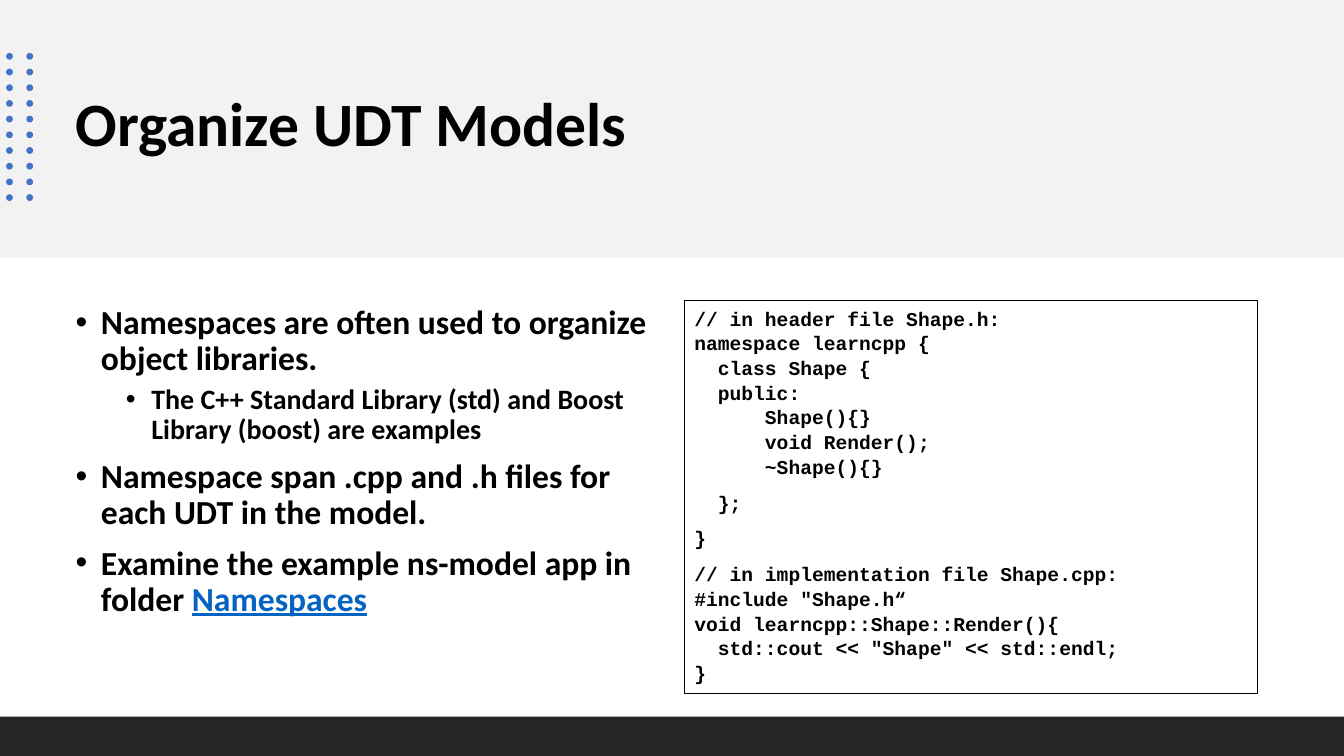
from copy import deepcopy

from pptx import Presentation
from pptx.dml.color import RGBColor
from pptx.enum import shapes, text
from pptx.oxml.ns import qn
from pptx.util import Cm, Pt

# Content
TITLE = "Organize UDT Models"
BULLETS = [  # (level, text, linked text)
    (0, "Namespaces are often used to organize object libraries.", ""),
    (1, "The C++ Standard Library (std) and Boost Library (boost) are examples", ""),
    (0, "Namespace span .cpp and .h files for each UDT in the model.", ""),
    (0, "Examine the example ns-model app in folder ", "Namespaces"),
]
CODE = [
    """// in header file Shape.h:
namespace learncpp {
  class Shape {
  public:
      Shape(){}
      void Render();
      ~Shape(){}""",
    "  };",
    "}",
    """// in implementation file Shape.cpp:
#include "Shape.h“
void learncpp::Shape::Render(){
  std::cout << "Shape" << std::endl;
}""",
]

# Style
COLORS = {"band": "F2F2F2", "footer": "262626", "dot": "4472C4",
          "ink": "000000", "link": "0563C1"}
LEVELS = [  # text size, space before, left margin
    (Pt(24), Pt(10), Cm(0.64)),
    (Pt(20), Pt(5), Cm(1.91)),
]
HANG = Cm(0.64)
WIDTH, HEIGHT = Cm(33.87), Cm(19.05)
BAND_HEIGHT, FOOTER_HEIGHT = Cm(6.5), Cm(0.99)
DOT_COLUMNS, DOT_ROWS = (Cm(0.24), Cm(0.75)), 10
DOT_FIRST, DOT_LAST, DOT_SIZE = Cm(1.42), Cm(4.98), Cm(0.17)


def color(name):
    return RGBColor.from_string(COLORS[name])


def add_plain(page, kind, left, top, width, height, fill=None):
    shape = page.shapes.add_shape(kind, left, top, width, height)
    shape.shadow.inherit = False
    shape.line.fill.background()
    if fill:
        shape.fill.solid()
        shape.fill.fore_color.rgb = color(fill)
    else:
        shape.fill.background()
    return shape


def place(box, left, top, width, height):
    box.left, box.top, box.width, box.height = left, top, width, height


def style(span, size, font="Calibri", ink="ink"):
    span.font.name, span.font.size, span.font.bold = font, size, True
    span.font.color.rgb = color(ink)


def set_bullet(para, margin):
    props = para._p.get_or_add_pPr()
    props.set("marL", str(margin))
    props.set("indent", str(-HANG))
    font = props.makeelement(qn("a:buFont"), {"typeface": "Arial"})
    props.extend([font, props.makeelement(qn("a:buChar"), {"char": "•"})])


def add_title(page):
    box = page.shapes.title
    place(box, Cm(1.65), Cm(0.94), Cm(30.56), Cm(4.5))
    frame = box.text_frame
    frame.text = TITLE
    frame.auto_size = text.MSO_AUTO_SIZE.NONE
    frame.vertical_anchor = text.MSO_ANCHOR.MIDDLE
    para = frame.paragraphs[0]
    para.alignment, para.line_spacing = text.PP_ALIGN.LEFT, 0.9
    style(para.runs[0], Pt(44))


def add_bullets(page):
    box = page.placeholders[1]
    place(box, Cm(1.65), Cm(7.57), Cm(15.27), Cm(9.7))
    frame = box.text_frame
    frame.text = "\n".join(words for _, words, _ in BULLETS)
    frame.auto_size = text.MSO_AUTO_SIZE.NONE
    for para, (level, _, link) in zip(frame.paragraphs, BULLETS):
        size, before, margin = LEVELS[level]
        para.level, para.line_spacing, para.space_before = level, 0.9, before
        set_bullet(para, margin)
        style(para.runs[0], size)
        if link:
            span = para.add_run()
            span.text = link
            style(span, size, ink="link")
            span.font.underline = True


def add_code(page):
    box = add_plain(page, shapes.MSO_SHAPE.RECTANGLE,
                    Cm(17.25), Cm(7.57), Cm(14.45), Cm(9.9))
    box.line.color.rgb = color("ink")
    box.line.width = Pt(0.75)
    frame = box.text_frame
    frame.word_wrap = True
    frame.vertical_anchor = text.MSO_ANCHOR.TOP
    for number, block in enumerate(CODE):
        para = frame.add_paragraph() if number else frame.paragraphs[0]
        para.text = block
        para.alignment = text.PP_ALIGN.LEFT
        para.line_spacing, para.space_after = 1.05, Pt(8)
        for span in para.runs:
            style(span, Pt(14), "Courier New")
        # Line breaks take the size of the code
        for line_break in para._p.findall(qn("a:br")):
            line_break.append(deepcopy(para.runs[0]._r.rPr))


def add_dots(page):
    step = (DOT_LAST - DOT_FIRST) / (DOT_ROWS - 1)
    for row in range(DOT_ROWS):
        for center in DOT_COLUMNS:
            add_plain(page, shapes.MSO_SHAPE.OVAL, center - DOT_SIZE // 2,
                      round(DOT_FIRST + row * step - DOT_SIZE / 2),
                      DOT_SIZE, DOT_SIZE, "dot")


def main():
    deck = Presentation()
    deck.slide_width, deck.slide_height = WIDTH, HEIGHT
    page = deck.slides.add_slide(deck.slide_layouts[1])

    # Header band, sent behind the title
    band = add_plain(page, shapes.MSO_SHAPE.RECTANGLE, 0, 0, WIDTH, BAND_HEIGHT, "band")
    page.shapes._spTree.insert(2, band._element)

    add_title(page)
    add_dots(page)
    add_bullets(page)
    add_plain(page, shapes.MSO_SHAPE.RECTANGLE, 0, HEIGHT - FOOTER_HEIGHT,
              WIDTH, FOOTER_HEIGHT, "footer")
    add_code(page)
    deck.save("out.pptx")


if __name__ == "__main__":
    main()
